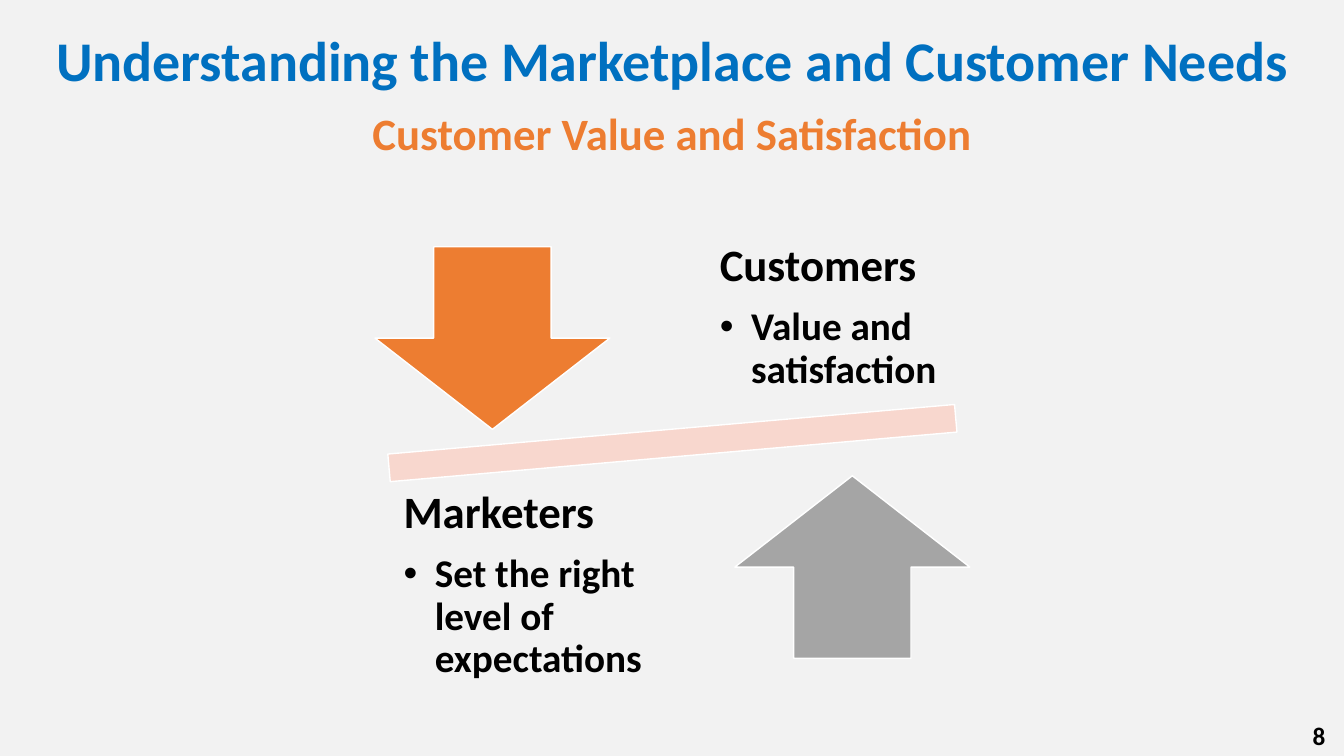
"""Build a slide that balances what marketers promise against what customers receive."""
from dataclasses import dataclass

from lxml import etree
from pptx import Presentation
from pptx import util as u
from pptx.dml import color
from pptx.enum import shapes, text
from pptx.oxml import ns


@dataclass(frozen=True)
class Theme:
    font: str = "Calibri"
    background: str = "F2F2F2"
    title: str = "0070C0"
    accent: str = "ED7D31"
    bar: str = "F8D7CE"
    grey: str = "A5A5A5"
    outline: str = "FFFFFF"
    ink: str = "000000"
    title_size: int = 40
    heading_size: int = 32
    bullet_size: int = 28
    number_size: int = 18


@dataclass(frozen=True)
class Frame:
    left: float
    top: float
    width: float
    height: float

    def lengths(self) -> tuple:
        return tuple(u.Cm(side) for side in (self.left, self.top, self.width, self.height))


@dataclass(frozen=True)
class Figure:
    kind: shapes.MSO_SHAPE
    frame: Frame
    fill: str
    rotation: float = 0


@dataclass(frozen=True)
class Line:
    words: str
    size: int
    colour: str
    align: text.PP_ALIGN = text.PP_ALIGN.LEFT
    spacing: float = 0.9
    after: float = 0
    bullet: bool = False


@dataclass(frozen=True)
class Block:
    frame: Frame
    lines: tuple[Line, ...]
    anchor: text.MSO_ANCHOR = text.MSO_ANCHOR.MIDDLE
    inset: tuple[float, float] = (0.25, 0.13)


THEME = Theme()
BULLET_INDENT = 0.79
TITLE = Block(
    Frame(0.91, 0.48, 32.05, 2.21),
    (Line("Understanding the Marketplace and Customer Needs", THEME.title_size,
          THEME.title, text.PP_ALIGN.CENTER),),
)
FIGURES = (
    Figure(shapes.MSO_SHAPE.MATH_MINUS, Frame(7.19, 9.68, 19.51, 2.97), THEME.bar, 355),
    Figure(shapes.MSO_SHAPE.DOWN_ARROW, Frame(9.45, 6.22, 5.92, 4.6), THEME.accent),
    Figure(shapes.MSO_SHAPE.UP_ARROW, Frame(18.52, 11.99, 5.92, 4.6), THEME.grey),
)


def side_block(frame: Frame, heading: str, point: str) -> Block:
    return Block(frame, (
        Line(heading, THEME.heading_size, THEME.ink, after=11),
        Line(point, THEME.bullet_size, THEME.ink, after=4, bullet=True),
    ), inset=(0.64, 0.64))


BLOCKS = (
    Block(
        Frame(4.24, 2.69, 25.4, 2.11),
        (Line("Customer Value and Satisfaction", THEME.heading_size, THEME.accent,
              text.PP_ALIGN.CENTER),),
        text.MSO_ANCHOR.TOP,
    ),
    side_block(Frame(17.5, 6.05, 7.54, 3.89), "Customers", "Value and satisfaction"),
    side_block(Frame(9.53, 12.34, 9.02, 4.83), "Marketers",
               "Set the right level of expectations"),
    Block(
        Frame(32.28, 18.01, 1.37, 1.02),
        (Line("8", THEME.number_size, THEME.ink, text.PP_ALIGN.RIGHT, 1.0),),
    ),
)


def apply(target, values: dict) -> None:
    for name, value in values.items():
        setattr(target, name, value)


def rgb(value: str) -> color.RGBColor:
    return color.RGBColor.from_string(value)


def add_bullet(para) -> None:
    properties = para._p.get_or_add_pPr()
    indent = u.Cm(BULLET_INDENT)
    properties.set("marL", str(indent))
    properties.set("indent", str(-indent))
    etree.SubElement(properties, ns.qn("a:buFont")).set("typeface", "Arial")
    etree.SubElement(properties, ns.qn("a:buChar")).set("char", "•")


def write_block(box, block: Block) -> None:
    apply(box, dict(zip(("left", "top", "width", "height"), block.frame.lengths())))
    side, end = (u.Cm(margin) for margin in block.inset)
    frame = box.text_frame
    apply(frame, {
        "word_wrap": True, "auto_size": text.MSO_AUTO_SIZE.NONE,
        "vertical_anchor": block.anchor, "margin_left": side, "margin_right": side,
        "margin_top": end, "margin_bottom": end,
    })
    for index, line in enumerate(block.lines):
        para = frame.add_paragraph() if index else frame.paragraphs[0]
        apply(para, {
            "alignment": line.align, "line_spacing": line.spacing,
            "space_before": u.Pt(0), "space_after": u.Pt(line.after),
        })
        if line.bullet:
            add_bullet(para)
        span = para.add_run()
        span.text = line.words
        apply(span.font, {"name": THEME.font, "size": u.Pt(line.size), "bold": True})
        span.font.color.rgb = rgb(line.colour)


def draw_figure(page, figure: Figure) -> None:
    shape = page.shapes.add_shape(figure.kind, *figure.frame.lengths())
    shape.rotation = figure.rotation
    shape.shadow.inherit = False
    shape.fill.solid()
    shape.fill.fore_color.rgb = rgb(figure.fill)
    shape.line.color.rgb = rgb(THEME.outline)
    shape.line.width = u.Pt(1)


def main() -> None:
    deck = Presentation()
    apply(deck, {"slide_width": u.Cm(33.87), "slide_height": u.Cm(19.05)})
    page = deck.slides.add_slide(deck.slide_layouts.get_by_name("Title Only"))
    page.background.fill.solid()
    page.background.fill.fore_color.rgb = rgb(THEME.background)
    write_block(page.shapes.title, TITLE)
    for figure in FIGURES:
        draw_figure(page, figure)
    for block in BLOCKS:
        write_block(page.shapes.add_textbox(*block.frame.lengths()), block)
    deck.save("out.pptx")


if __name__ == "__main__":
    main()
